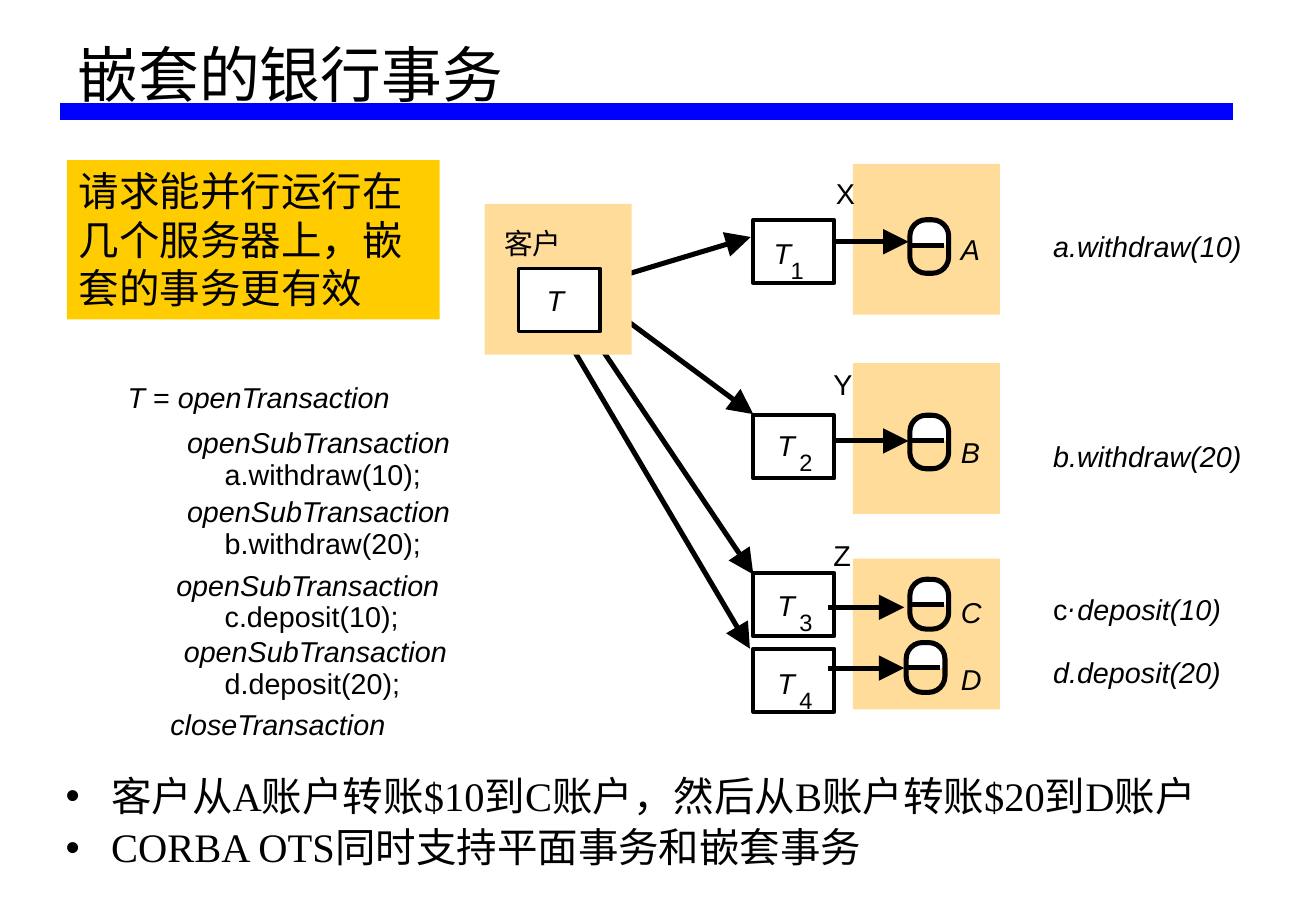
"""Builds the slide on nested bank transactions."""
from lxml import etree
from pptx import Presentation
from pptx.dml.color import RGBColor
from pptx.enum.shapes import MSO_CONNECTOR, MSO_SHAPE
from pptx.enum.text import MSO_ANCHOR, MSO_AUTO_SIZE, PP_ALIGN
from pptx.oxml.ns import qn
from pptx.util import Pt

RECT = MSO_SHAPE.RECTANGLE
ROUNDED = MSO_SHAPE.ROUNDED_RECTANGLE
STRAIGHT = MSO_CONNECTOR.STRAIGHT
LEFT = PP_ALIGN.LEFT
TOP, BOTTOM = MSO_ANCHOR.TOP, MSO_ANCHOR.BOTTOM
NO_FIT = MSO_AUTO_SIZE.NONE

COLORS = {"black": "000000", "white": "FFFFFF", "rule": "0000FF",
          "server": "FFDC99", "note": "FFCC00"}
ITALIC = {"italic": True}
PLAIN = {"italic": False}
SUBSCRIPT = {"size": 14}
SERIF = {"size": 24, "font": "Times New Roman"}

deck = Presentation()
deck.slide_width, deck.slide_height = Pt(780), Pt(540)
slide = deck.slides.add_slide(deck.slide_layouts[1])
shapes = slide.shapes


def write(paragraph, text, size=17, font="Arial", italic=False):
    run = paragraph.add_run()
    run.text = text
    run.font.size, run.font.name, run.font.italic = Pt(size), font, italic
    run.font.color.rgb = RGBColor.from_string(COLORS["black"])


def block(left, top, width, height, fill=None, border=0, kind=RECT):
    shape = shapes.add_shape(kind, Pt(left), Pt(top), Pt(width), Pt(height))
    shape.shadow.inherit = False
    if fill:
        shape.fill.solid()
        shape.fill.fore_color.rgb = RGBColor.from_string(COLORS[fill])
    else:
        shape.fill.background()
    if border:
        shape.line.width = Pt(border)
        shape.line.color.rgb = RGBColor.from_string(COLORS["black"])
    else:
        shape.line.fill.background()
    if kind == ROUNDED:
        shape.adjustments[0] = 0.42
    return shape


title = shapes.title
title.left, title.top, title.width, title.height = Pt(38.9), Pt(0), Pt(697.7), Pt(69.1)
title.text_frame.vertical_anchor = BOTTOM
title.text_frame.auto_size = NO_FIT
heading = title.text_frame.paragraphs[0]
heading.alignment, heading.line_spacing = LEFT, 0.9
write(heading, "嵌套的银行事务", size=36, font="Times New Roman")

body = slide.placeholders[1]
body.left, body.top, body.width, body.height = Pt(31.7), Pt(456.5), Pt(697.7), Pt(66.2)
body.text_frame.auto_size = NO_FIT
points = ["客户从A账户转账$10到C账户，然后从B账户转账$20到D账户",
          "CORBA OTS同时支持平面事务和嵌套事务"]
for index, point in enumerate(points):
    bullet = body.text_frame.add_paragraph() if index else body.text_frame.paragraphs[0]
    bullet.line_spacing = 0.9
    write(bullet, point, **SERIF)

note = block(39.6, 95, 221, 94.3, "note")
note.text_frame.word_wrap = True
note.text_frame.vertical_anchor = TOP
note.text_frame.paragraphs[0].alignment = LEFT
write(note.text_frame.paragraphs[0], "请求能并行运行在几个服务器上，嵌套的事务更有效", size=24)

labels = [(298.8, 134, ("客户", PLAIN)), (324, 167.8, ("T", ITALIC))]
lines = [(35.3, 66.2, 730.8, 66.2, "rule", 10, False)]

servers = [("X", 495.4, 104.4, 97.2), ("Y", 494, 217.4, 215.2), ("Z", 494, 319, 331.1)]
for server, label_left, label_top, server_top in servers:
    block(505.5, server_top, 87.2, 89.4, "server")
    labels.append((label_left, label_top, (server, PLAIN)))

# account, task top, task label, store left / top / height, account label top,
# request start / tip / height, branch start and tip
accounts = [
    ("A", 130.3, (458.6, 139.7, 468.7), (539.3, 130.3, 31.7), 137.5,
     (493.2, 538.5, 143.3), (359.3, 166.3, 445, 140.5)),
    ("B", 246.2, (460.8, 253.4, 473.8), (539.3, 246.2, 31.7), 257.8,
     (493.2, 538.5, 261.4), (357.1, 179.3, 446.5, 245.5)),
    ("C", 339.8, (460.8, 348.5, 473.8), (539.3, 343.4, 29.5), 352.8,
     (491, 536, 360), (347.8, 193.7, 446.5, 340.5)),
    ("D", 384.5, (460.8, 394.6, 473.8), (537.1, 380.9, 29.5), 392.4,
     (491, 536, 396), (331.9, 193.7, 444.5, 384.5)),
]
for number, (account, task_top, task, store, account_top, request, branch) in enumerate(accounts, 1):
    block(446.4, task_top, 48.2, 37.4, "white", 2.25)
    task_left, task_text_top, number_left = task
    labels += [(task_left, task_text_top, ("T", ITALIC)),
               (number_left, task_text_top + 12, (str(number), SUBSCRIPT)),
               (569.5, account_top, (account, ITALIC))]

    left, top, height = store
    middle = top + 15
    block(left, top, 23, height, "white", kind=ROUNDED)
    block(left, middle, 23, top + height - middle, "server")
    block(left, top, 23, height, border=3, kind=ROUNDED)

    start, tip, level = request
    lines += [(left, middle, left + 20, middle, "black", 3, False),
              (start, level, tip, level, "black", 3, True),
              (*branch, "black", 3, True)]

for x1, y1, x2, y2, color, weight, arrow in lines:
    link = shapes.add_connector(STRAIGHT, Pt(x1), Pt(y1), Pt(x2), Pt(y2))
    link.line.width = Pt(weight)
    link.line.color.rgb = RGBColor.from_string(COLORS[color])
    outline = link._element.spPr
    if arrow:
        etree.SubElement(outline.find(qn("a:ln")), qn("a:tailEnd"),
                         type="triangle", w="lg", len="lg")
    etree.SubElement(outline, qn("a:effectLst"))

block(287.2, 120.9, 87.2, 89.4, "server")
block(307.4, 159.1, 48.2, 37.4, "white", 2.25)

labels += [
    (624.2, 135.4, ("a.withdraw(10)", ITALIC)),
    (624.2, 259.9, ("b.withdraw(20)", ITALIC)),
    (624.2, 350.6, ("c", PLAIN)),
    (633.6, 344.2, (".", {"size": 19, "font": "Arial Narrow", "italic": True})),
    (638.6, 350.6, ("deposit(10)", ITALIC)),
    (624.2, 388.1, ("d.deposit(20)", ITALIC)),
    (75.6, 225.4, ("T", ITALIC), (" = ", PLAIN), ("openTransaction", ITALIC)),
    (101, 419, ("closeTransaction", ITALIC)),
]
subtransactions = [(110.9, 252, "a.withdraw(10);"), (110.9, 293, "b.withdraw(20);"),
                   (104.5, 336.6, "c.deposit(10);"), (109, 375.8, "d.deposit(20);")]
for left, top, call in subtransactions:
    labels += [(left, top, ("openSubTransaction", ITALIC)),
               (133.2, top + 18.6, (call, PLAIN))]

for left, top, *runs in labels:
    frame = shapes.add_textbox(Pt(left), Pt(top), Pt(160 if left < 280 else 115 if left > 600 else 36),
                               Pt(20.9)).text_frame
    frame.margin_left = frame.margin_right = frame.margin_top = frame.margin_bottom = 0
    frame.word_wrap = False
    frame.paragraphs[0].alignment = LEFT
    for text, style in runs:
        write(frame.paragraphs[0], text, **style)

deck.save("out.pptx")
